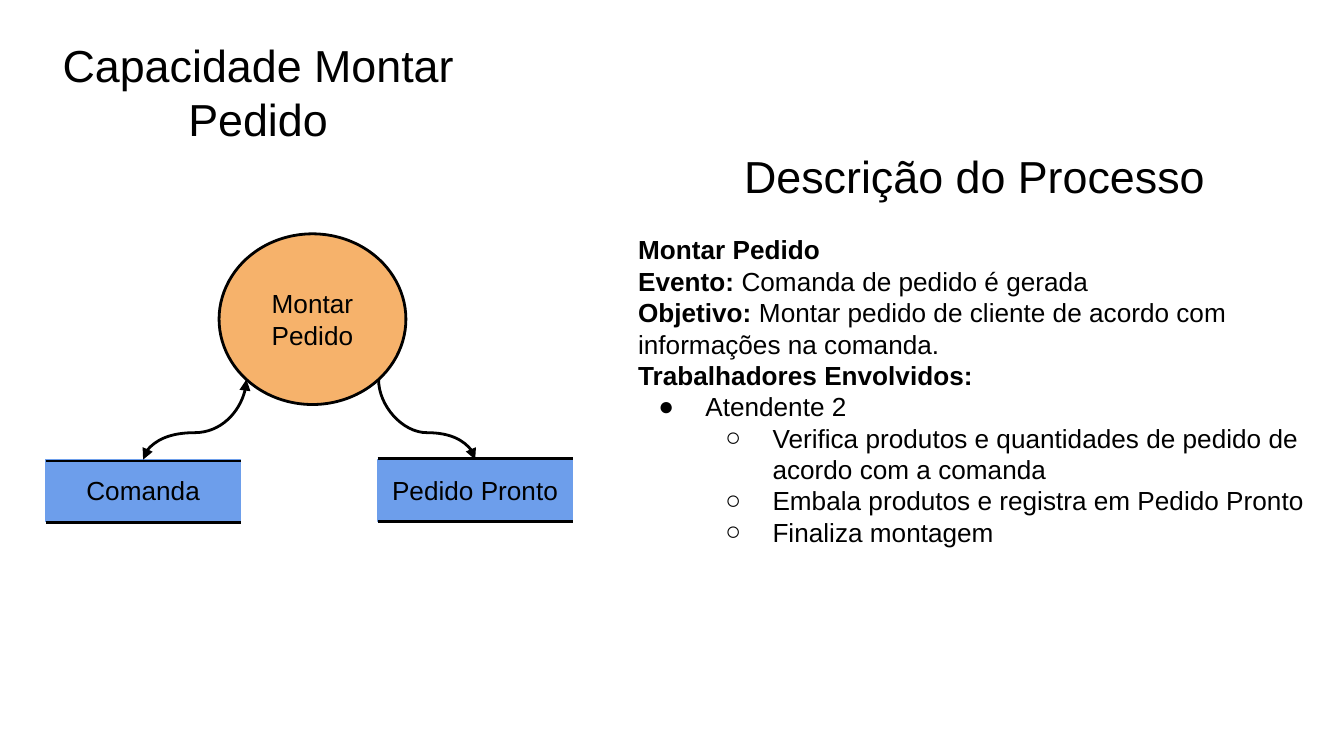
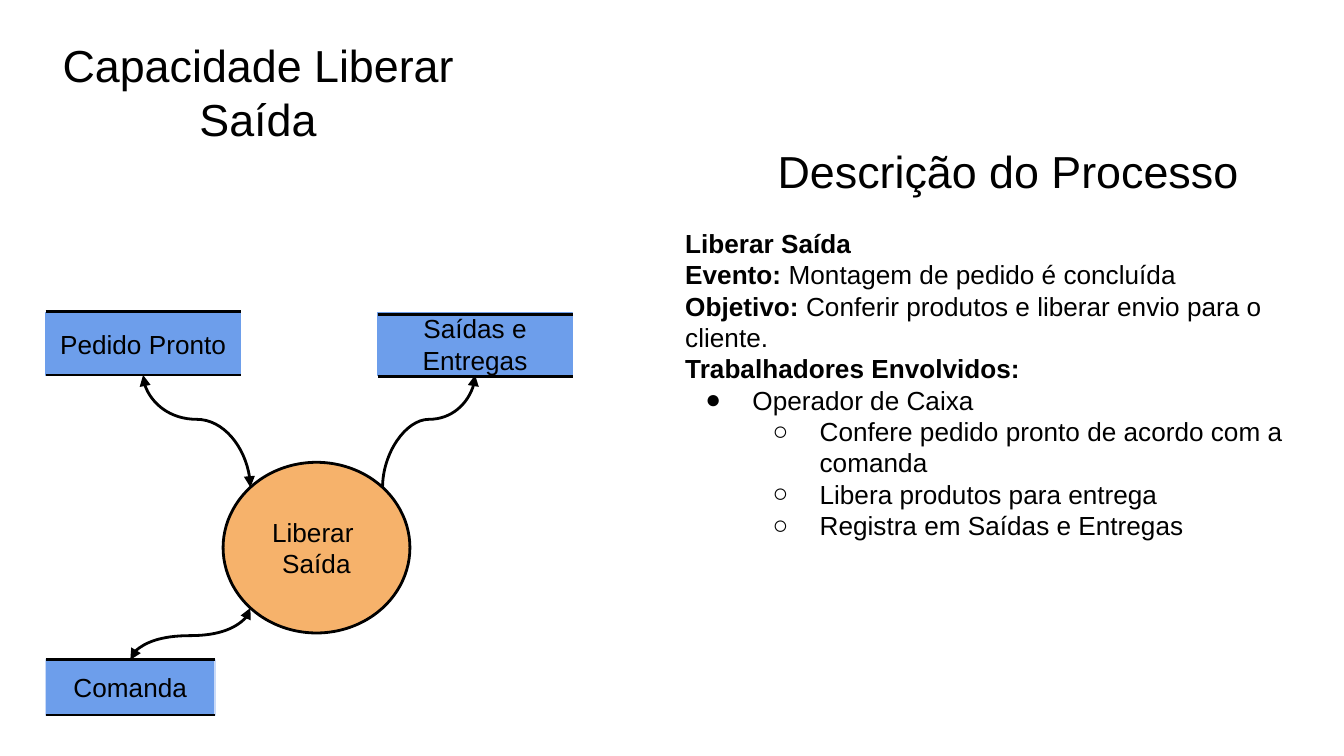
from collections import namedtuple
from math import sqrt

from lxml import etree
from pptx import Presentation
from pptx.dml.color import RGBColor
from pptx.enum.shapes import MSO_CONNECTOR, MSO_SHAPE
from pptx.enum.text import MSO_ANCHOR, PP_ALIGN
from pptx.oxml.ns import qn
from pptx.util import Inches, Pt

RECTANGLE, ELLIPSE = MSO_SHAPE.RECTANGLE, MSO_SHAPE.OVAL
STRAIGHT, CURVE = MSO_CONNECTOR.STRAIGHT, MSO_CONNECTOR.CURVE
LEFT, CENTER = PP_ALIGN.LEFT, PP_ALIGN.CENTER
TOP, MIDDLE = MSO_ANCHOR.TOP, MSO_ANCHOR.MIDDLE

FONT = "Arial"
BLACK, BLUE, PALE_BLUE, ORANGE = "000000", "6D9EEB", "C9DAF8", "F6B26B"
BODY_SIZE, TITLE_SIZE = 14, 24
INSET = 0.1
BULLETS = "●○"

Box = namedtuple("Box", "left top width height")
TITLE_BOX = Box(0, 0.18, 3.84, 0.63)


def color(hex_value):
    return RGBColor.from_string(hex_value)


def inches(values):
    return [Inches(value) for value in values]


def child(parent, tag, **attributes):
    return etree.SubElement(parent, qn(tag), attributes)


def add_bullet(paragraph, level):
    paragraph.level = level
    properties = paragraph._p.get_or_add_pPr()
    properties.set("marL", str(Inches(0.5 * (level + 1))))
    properties.set("indent", str(Inches(-0.35)))
    child(child(properties, "a:buClr"), "a:srgbClr", val=BLACK)
    child(properties, "a:buFont", typeface=FONT)
    child(properties, "a:buChar", char=BULLETS[level])


def write(frame, lines, size=BODY_SIZE, align=LEFT, anchor=TOP):
    frame.word_wrap = True
    frame.vertical_anchor = anchor
    frame.margin_left = frame.margin_right = Inches(INSET)
    frame.margin_top = frame.margin_bottom = Inches(INSET)
    for index, (label, text, level) in enumerate(lines):
        paragraph = frame.paragraphs[0] if index == 0 else frame.add_paragraph()
        paragraph.alignment = align
        if level is not None:
            add_bullet(paragraph, level)
        for content, bold in ((label, True), (text, False)):
            if content:
                run = paragraph.add_run()
                run.text = content
                run.font.name = FONT
                run.font.size = Pt(size)
                run.font.bold = bold
                run.font.color.rgb = color(BLACK)


def plain(*texts):
    return [("", text, None) for text in texts]


def add_title(slide, box, text):
    title = slide.shapes.add_textbox(*inches(box))
    write(title.text_frame, plain(text), size=TITLE_SIZE, align=CENTER)


def add_node(slide, kind, box, texts, fill, outline, weight):
    node = slide.shapes.add_shape(kind, *inches(box))
    node.shadow.inherit = False
    node.fill.solid()
    node.fill.fore_color.rgb = color(fill)
    node.line.color.rgb = color(outline)
    node.line.width = Pt(weight)
    write(node.text_frame, plain(*texts), align=CENTER, anchor=MIDDLE)


def add_line(slide, kind, x1, y1, x2, y2):
    line = slide.shapes.add_connector(kind, *inches((x1, y1, x2, y2)))
    line.line.color.rgb = color(BLACK)
    line.line.width = Pt(1.5)
    child(line._element.spPr, "a:effectLst")
    return line


def add_store(slide, box, texts, rule_tops, outline=BLUE):
    add_node(slide, RECTANGLE, box, texts, BLUE, outline, 0.75)
    for y in rule_tops:
        add_line(slide, STRAIGHT, box.left, y, box.left + box.width, y)


def add_process(slide, box, texts):
    add_node(slide, ELLIPSE, box, texts, ORANGE, BLACK, 1.5)


def add_flow(slide, process, store, bend, two_way=True):
    center_x = process.left + process.width / 2
    center_y = process.top + process.height / 2
    store_x = store.left + store.width / 2
    side = 1 if store_x > center_x else -1
    process_x = center_x + side * process.width / sqrt(8)
    store_below = store.top > center_y
    if store_below:
        top_x, top_y = process_x, center_y + process.height / sqrt(8)
        end_x, end_y = store_x, store.top
    else:
        top_x, top_y = store_x, store.top + store.height
        end_x, end_y = process_x, center_y - process.height / sqrt(8)

    rise, run = end_y - top_y, abs(end_x - top_x)
    left = (top_x + end_x - rise) / 2
    top = (top_y + end_y - run) / 2
    flow = add_line(slide, CURVE, left, top, left + rise, top + run)
    properties = flow._element.spPr
    transform = properties.find(qn("a:xfrm"))
    if end_x > top_x:
        transform.set("rot", str(270 * 60000))
        transform.set("flipH", "1")
    else:
        transform.set("rot", str(90 * 60000))
    adjustments = properties.find(qn("a:prstGeom")).get_or_add_avLst()
    share = round((bend - top_y) / rise * 100000)
    child(adjustments, "a:gd", name="adj1", fmla=f"val {share}")

    outline = flow.line._get_or_add_ln()
    if two_way or not store_below:
        child(outline, "a:headEnd", type="triangle")
    if two_way or store_below:
        child(outline, "a:tailEnd", type="triangle")


def add_description(slide, box, title_box, name, event, goal, worker, tasks):
    lines = [
        (name, "", None),
        ("Evento: ", event, None),
        ("Objetivo: ", goal, None),
        ("Trabalhadores Envolvidos:", "", None),
        ("", worker, 0),
    ]
    lines += [("", task, 1) for task in tasks]
    description = slide.shapes.add_textbox(*inches(box))
    write(description.text_frame, lines)
    add_title(slide, title_box, "Descrição do Processo")


def build_assembly(slide):
    command = Box(0.34, 3.42, 1.45, 0.46)
    ready = command._replace(left=2.81)
    process = Box(1.63, 1.74, 1.39, 1.27)
    add_store(slide, command, ["Comanda"], (3.43, 3.89))
    add_store(slide, ready, ["Pedido Pronto"], (3.41, 3.88))
    add_process(slide, process, ["Montar", "Pedido"])
    add_flow(slide, process, command, 3.22)
    add_flow(slide, process, ready, 3.22, two_way=False)
    add_title(slide, TITLE_BOX, "Capacidade Montar Pedido")
    add_description(
        slide, Box(4.65, 1.64, 5.2, 3.57), TITLE_BOX._replace(left=5.33, top=1.01),
        "Montar Pedido",
        "Comanda de pedido é gerada",
        "Montar pedido de cliente de acordo com informações na comanda.",
        "Atendente 2",
        ["Verifica produtos e quantidades de pedido de acordo com a comanda",
         "Embala produtos e registra em Pedido Pronto",
         "Finaliza montagem"])


def build_release(slide):
    ready = Box(0.34, 2.33, 1.45, 0.46)
    deliveries = ready._replace(left=2.81)
    command = Box(0.34, 4.91, 1.26, 0.41)
    process = Box(1.66, 3.44, 1.39, 1.27)
    add_store(slide, ready, ["Pedido Pronto"], (2.32, 2.79))
    add_store(slide, deliveries, ["Saídas e", "Entregas"], (2.34, 2.8))
    add_store(slide, command, ["Comanda"], (4.91, 5.32), outline=PALE_BLUE)
    add_process(slide, process, ["Liberar ", "Saída"])
    add_flow(slide, process, ready, 3.12)
    add_flow(slide, process, deliveries, 3.12, two_way=False)
    add_flow(slide, process, command, 4.73)
    add_title(slide, TITLE_BOX, "Capacidade Liberar Saída")
    add_description(
        slide, Box(5, 1.59, 5.01, 2.88), TITLE_BOX._replace(left=5.58, top=0.97),
        "Liberar Saída",
        "Montagem de pedido é concluída",
        "Conferir produtos e liberar envio para o cliente.",
        "Operador de Caixa",
        ["Confere pedido pronto de acordo com a comanda",
         "Libera produtos para entrega",
         "Registra em Saídas e Entregas"])


def main():
    deck = Presentation()
    deck.slide_width = Inches(10)
    deck.slide_height = deck.slide_width * 9 // 16
    for build in (build_assembly, build_release):
        build(deck.slides.add_slide(deck.slide_layouts[6]))
    deck.save("out.pptx")


if __name__ == "__main__":
    main()
